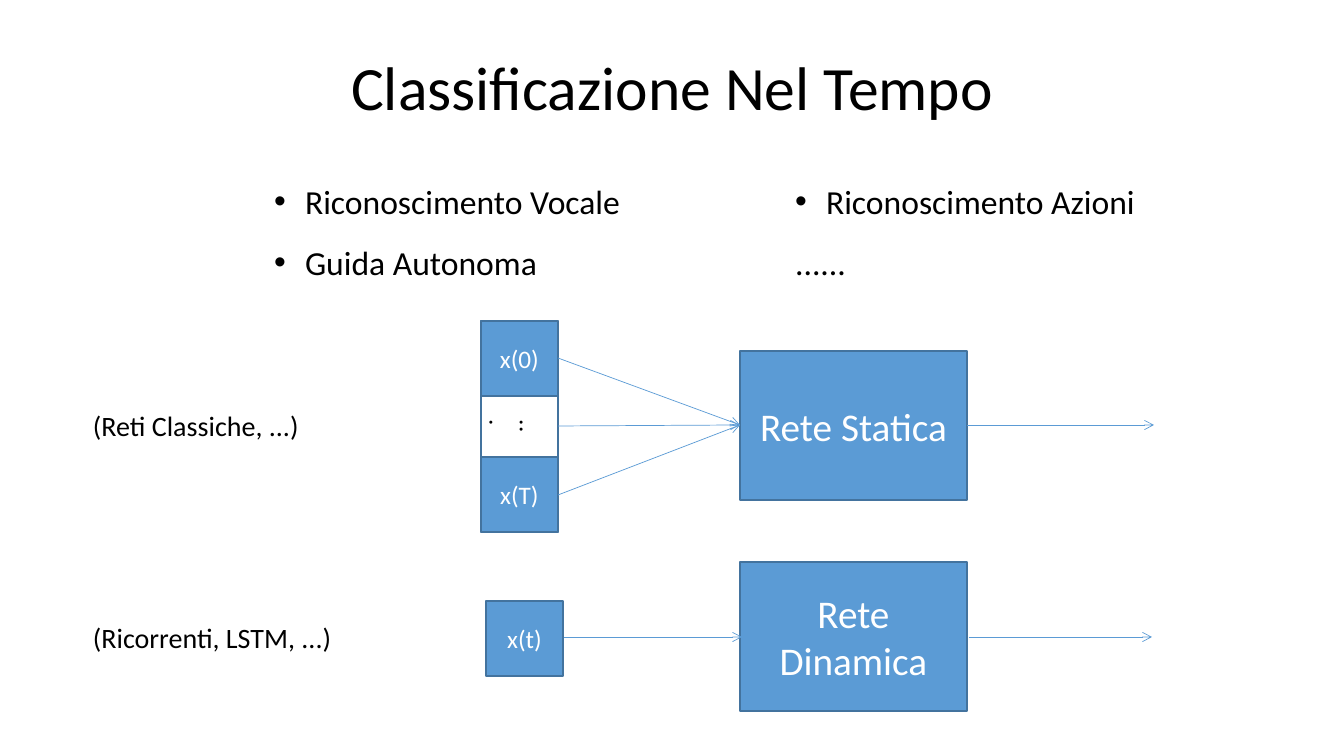
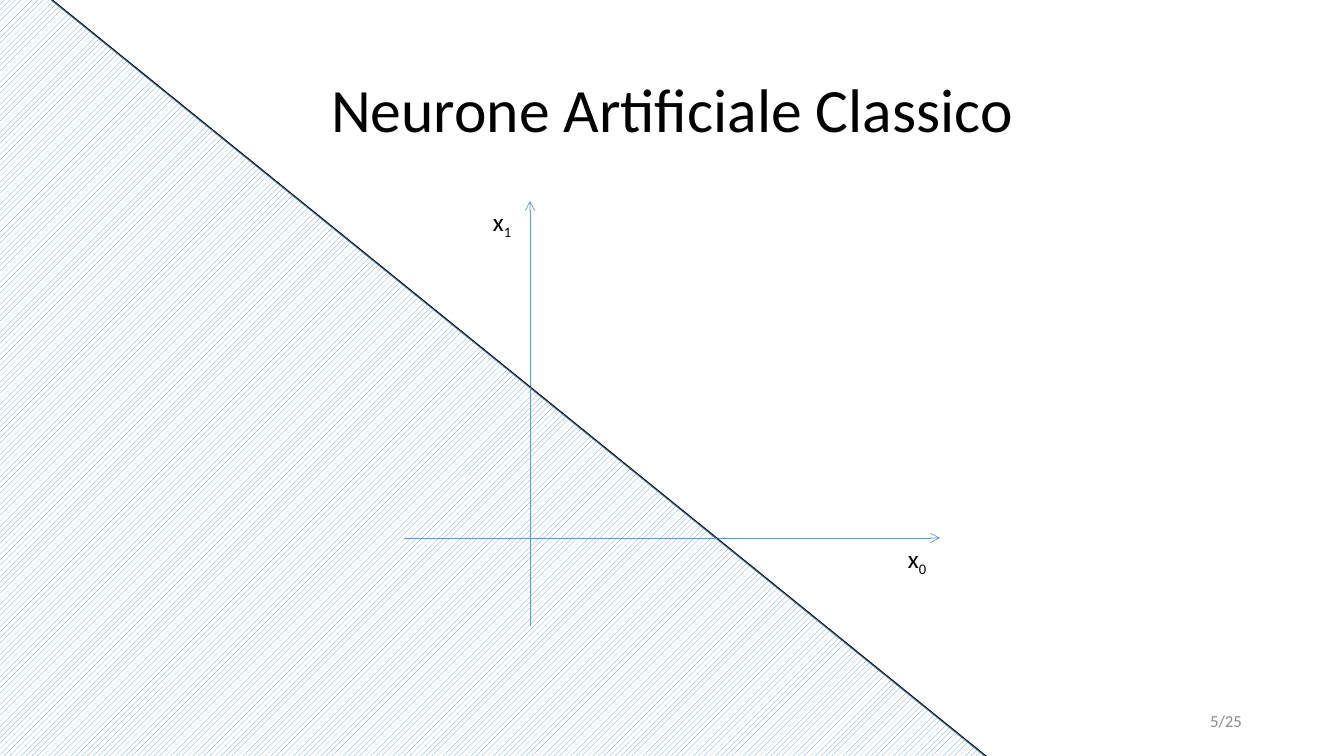
"""Build two slides on classification over time and the classic artificial neuron."""
from dataclasses import dataclass

from lxml import etree
from pptx import Presentation
from pptx.dml.color import RGBColor
from pptx.enum.dml import MSO_PATTERN
from pptx.enum.shapes import MSO_CONNECTOR, MSO_SHAPE
from pptx.enum.text import MSO_ANCHOR, MSO_AUTO_SIZE, PP_ALIGN
from pptx.oxml.ns import qn
from pptx.util import Emu, Pt

RECTANGLE = MSO_SHAPE.RECTANGLE
STRAIGHT = MSO_CONNECTOR.STRAIGHT
HATCH = MSO_PATTERN.WIDE_UPWARD_DIAGONAL
LEFT, CENTER, RIGHT = PP_ALIGN.LEFT, PP_ALIGN.CENTER, PP_ALIGN.RIGHT
TOP, MIDDLE = MSO_ANCHOR.TOP, MSO_ANCHOR.MIDDLE
NO_AUTOFIT = MSO_AUTO_SIZE.NONE

EMU_PER_PIXEL = 914400 / 100.8
TITLE_ONLY, TWO_CONTENT = 5, 3
BULLET_INDENT = 31
CELL_WIDTH, CELL_HEIGHT = 77, 75
NET_LEFT, NET_WIDTH, NET_HEIGHT = 740, 227, 149
STACK_LEFT, STACK_TOP, STACK_HEIGHT = 481, 321, 211


@dataclass(frozen=True)
class Theme:
    """Shared font, colours, type sizes and line widths."""

    font: str = "Calibri"
    ink: RGBColor = RGBColor(0x00, 0x00, 0x00)
    paper: RGBColor = RGBColor(0xFF, 0xFF, 0xFF)
    accent: RGBColor = RGBColor(0x5B, 0x9B, 0xD5)
    edge: RGBColor = RGBColor(0x43, 0x73, 0x9E)
    muted: RGBColor = RGBColor(0x8C, 0x8C, 0x8C)
    title: int = 44
    net: int = 28
    bullet: int = 24
    label: int = 20
    small: int = 18
    footer: int = 12
    border: float = 1
    thin: float = 0.5


THEME = Theme()


@dataclass(frozen=True)
class Frame:
    """Left, top, width and height in pixels."""

    left: int
    top: int
    width: int
    height: int


@dataclass(frozen=True)
class Block:
    """A filled rectangle with a centred caption."""

    frame: Frame
    caption: str
    size: int


@dataclass(frozen=True)
class Line:
    """A straight line between two points."""

    start: tuple[int, int]
    end: tuple[int, int]
    color: RGBColor = THEME.accent
    arrow: bool = True


@dataclass(frozen=True)
class Label:
    """A free text, with an optional subscript."""

    frame: Frame
    text: str
    size: int
    subscript: str = ""
    color: RGBColor = THEME.ink
    align: PP_ALIGN = LEFT
    anchor: MSO_ANCHOR = TOP
    vertical: bool = False


@dataclass(frozen=True)
class Item:
    """One list entry."""

    text: str
    bulleted: bool = True


def px(length: float) -> Emu:
    """Turn pixels into EMU."""
    return Emu(round(length * EMU_PER_PIXEL))


def place(shape, frame: Frame) -> None:
    """Move and size a shape."""
    shape.left, shape.top = px(frame.left), px(frame.top)
    shape.width, shape.height = px(frame.width), px(frame.height)


def format_para(para, size: int, color: RGBColor, align: PP_ALIGN) -> None:
    """Align a paragraph and style its runs."""
    para.alignment = align
    for span in para.runs:
        span.font.name = THEME.font
        span.font.size = Pt(size)
        span.font.color.rgb = color


def add_page(deck, layout: int, title: str, top: int):
    """Add a slide with the shared title style."""
    page = deck.slides.add_slide(deck.slide_layouts[layout])
    box = page.shapes.title
    place(box, Frame(93, top, 1159, 146))
    box.text_frame.text = title
    box.text_frame.vertical_anchor = MIDDLE
    box.text_frame.auto_size = NO_AUTOFIT
    para = box.text_frame.paragraphs[0]
    para.line_spacing = 0.9
    format_para(para, THEME.title, THEME.ink, CENTER)
    return page


def fill_list(box, frame: Frame, items: list[Item]) -> None:
    """Fill a body placeholder with list entries."""
    place(box, frame)
    box.text_frame.text = "\n".join(item.text for item in items)
    box.text_frame.auto_size = NO_AUTOFIT
    for para, item in zip(box.text_frame.paragraphs, items):
        format_para(para, THEME.bullet, THEME.ink, LEFT)
        para.space_before, para.space_after = Pt(0), Pt(14.6)
        indent = px(BULLET_INDENT) if item.bulleted else 0
        properties = para._p.get_or_add_pPr()
        properties.set("marL", str(indent))
        properties.set("indent", str(-indent))
        if item.bulleted:
            etree.SubElement(properties, qn("a:buFont")).set("typeface", "Arial")
            etree.SubElement(properties, qn("a:buChar")).set("char", "•")
        else:
            etree.SubElement(properties, qn("a:buNone"))


def add_rectangle(page, frame: Frame):
    """Add an outlined rectangle without fill or shadow."""
    shape = page.shapes.add_shape(
        RECTANGLE, px(frame.left), px(frame.top), px(frame.width), px(frame.height)
    )
    shape.shadow.inherit = False
    shape.fill.background()
    shape.line.color.rgb = THEME.edge
    shape.line.width = Pt(THEME.border)
    return shape


def add_block(page, block: Block) -> None:
    """Draw a captioned block."""
    shape = add_rectangle(page, block.frame)
    shape.fill.solid()
    shape.fill.fore_color.rgb = THEME.accent
    shape.text_frame.text = block.caption
    shape.text_frame.word_wrap = True
    shape.text_frame.vertical_anchor = MIDDLE
    format_para(shape.text_frame.paragraphs[0], block.size, THEME.paper, CENTER)


def add_line(page, line: Line) -> None:
    """Draw a line, with an arrowhead if asked."""
    connector = page.shapes.add_connector(
        STRAIGHT, *(px(value) for value in line.start + line.end)
    )
    connector.line.color.rgb = line.color
    connector.line.width = Pt(THEME.thin)
    if line.arrow:
        outline = connector.line._get_or_add_ln()
        etree.SubElement(outline, qn("a:tailEnd")).set("type", "arrow")
    etree.SubElement(connector.element.spPr, qn("a:effectLst"))


def add_label(page, label: Label) -> None:
    """Draw a free text."""
    frame = label.frame
    box = page.shapes.add_textbox(
        px(frame.left), px(frame.top), px(frame.width), px(frame.height)
    )
    box.text_frame.text = label.text
    box.text_frame.word_wrap = True
    box.text_frame.vertical_anchor = label.anchor
    if label.vertical:
        box.text_frame._txBody.bodyPr.set("vert", "eaVert")
    para = box.text_frame.paragraphs[0]
    if label.subscript:
        span = para.add_run()
        span.text = label.subscript
        span.font._element.set("baseline", "-25000")
    format_para(para, label.size, label.color, label.align)


def build_time_page(deck) -> None:
    """Compare the static and the dynamic network."""
    page = add_page(deck, TWO_CONTENT, "Classificazione Nel Tempo", 18)
    columns = (
        (264, [Item("Riconoscimento Vocale"), Item("Guida Autonoma")]),
        (785, [Item("Riconoscimento Azioni"), Item("......", bulleted=False)]),
    )
    for box, (left, items) in zip(list(page.placeholders)[1:], columns):
        fill_list(box, Frame(left, 176, 443, 111), items)

    stack_right = STACK_LEFT + CELL_WIDTH
    last_top = STACK_TOP + STACK_HEIGHT - CELL_HEIGHT
    add_rectangle(page, Frame(STACK_LEFT, STACK_TOP, CELL_WIDTH, STACK_HEIGHT))
    for left, top, caption in (
        (STACK_LEFT, STACK_TOP, "x(0)"),
        (STACK_LEFT, last_top, "x(T)"),
        (486, 601, "x(t)"),
    ):
        frame = Frame(left, top, CELL_WIDTH, CELL_HEIGHT)
        add_block(page, Block(frame, caption, THEME.small))
    for top, caption in ((351, "Rete Statica"), (562, "Rete Dinamica")):
        frame = Frame(NET_LEFT, top, NET_WIDTH, NET_HEIGHT)
        add_block(page, Block(frame, caption, THEME.net))

    for top, text in ((404, "(Reti Classiche, ...)"), (616, "(Ricorrenti, LSTM, ...)")):
        add_label(page, Label(Frame(83, top, 296, 44), text, THEME.label))
    add_label(page, Label(Frame(500, 410, 50, 38), "...", THEME.small, vertical=True))

    for y in (358, 426, 495):
        add_line(page, Line((stack_right, y), (NET_LEFT, 425)))
    add_line(page, Line((NET_LEFT + NET_WIDTH, 425), (1154, 425)))
    add_line(page, Line((564, 637), (742, 637)))
    add_line(page, Line((969, 637), (1152, 637)))


def build_neuron_page(deck) -> None:
    """Show the half-plane split made by one neuron."""
    page = add_page(deck, TITLE_ONLY, "Neurone Artificiale Classico", 40)
    half_plane = add_rectangle(page, Frame(-214, 61, 881, 1295))
    half_plane.rotation = 309
    half_plane.fill.patterned()
    half_plane.fill.pattern = HATCH
    half_plane.fill.fore_color.rgb = THEME.accent
    half_plane.fill.back_color.rgb = THEME.paper
    page.shapes.element.insert(2, half_plane.element)

    add_line(page, Line((530, 626), (530, 201)))
    add_line(page, Line((404, 538), (940, 538)))
    for left, top, index in ((898, 538, "0"), (483, 201, "1")):
        add_label(page, Label(Frame(left, top, 60, 40), "x", THEME.small, index))
    add_line(page, Line((28, -20), (1006, 772), THEME.ink, arrow=False))
    add_label(page, Label(
        Frame(950, 701, 302, 40), "5/25", THEME.footer,
        color=THEME.muted, align=RIGHT, anchor=MIDDLE,
    ))


def main() -> None:
    """Build and save the deck."""
    deck = Presentation()
    deck.slide_width, deck.slide_height = px(1344), px(756)
    build_time_page(deck)
    build_neuron_page(deck)
    deck.save("out.pptx")


main()
